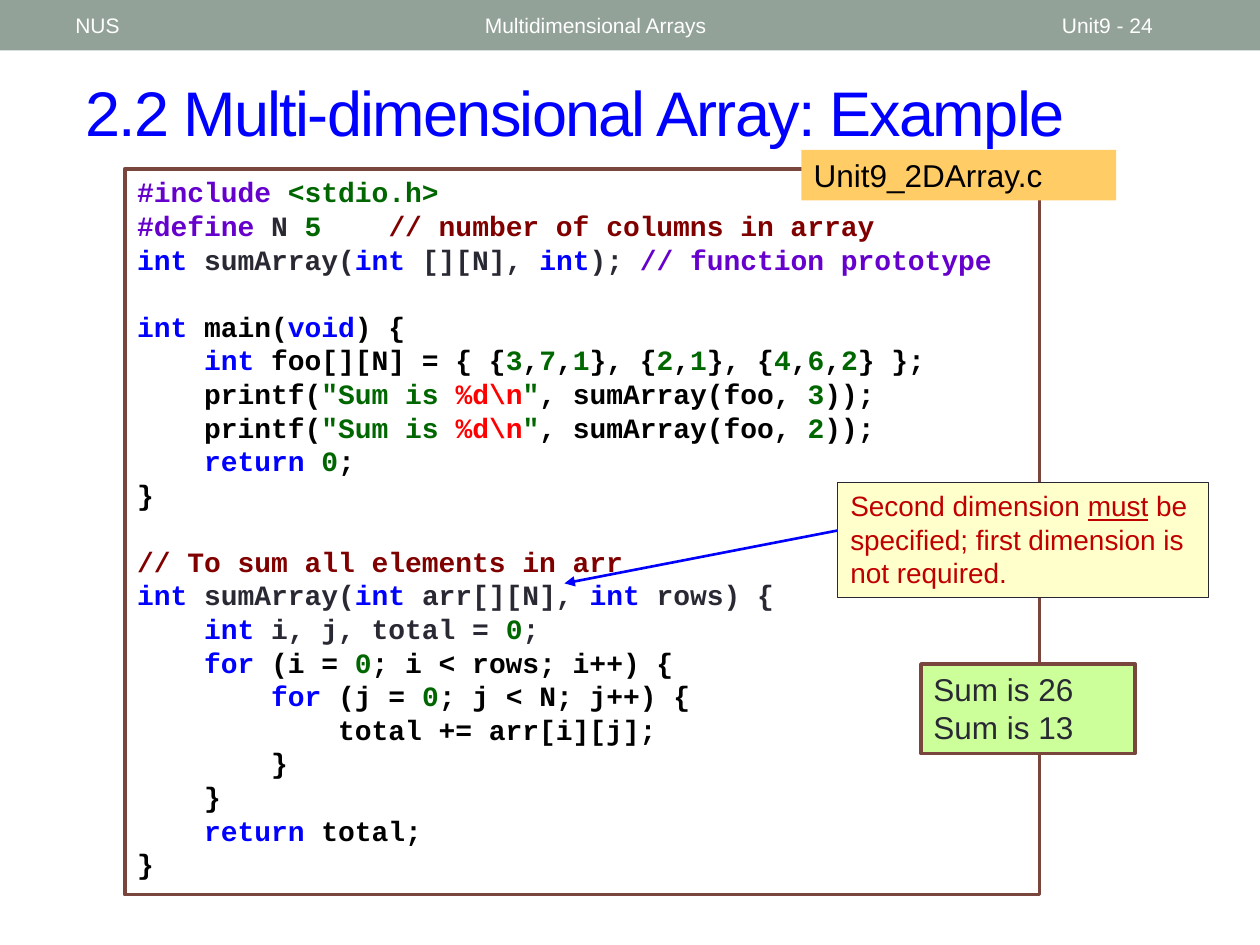
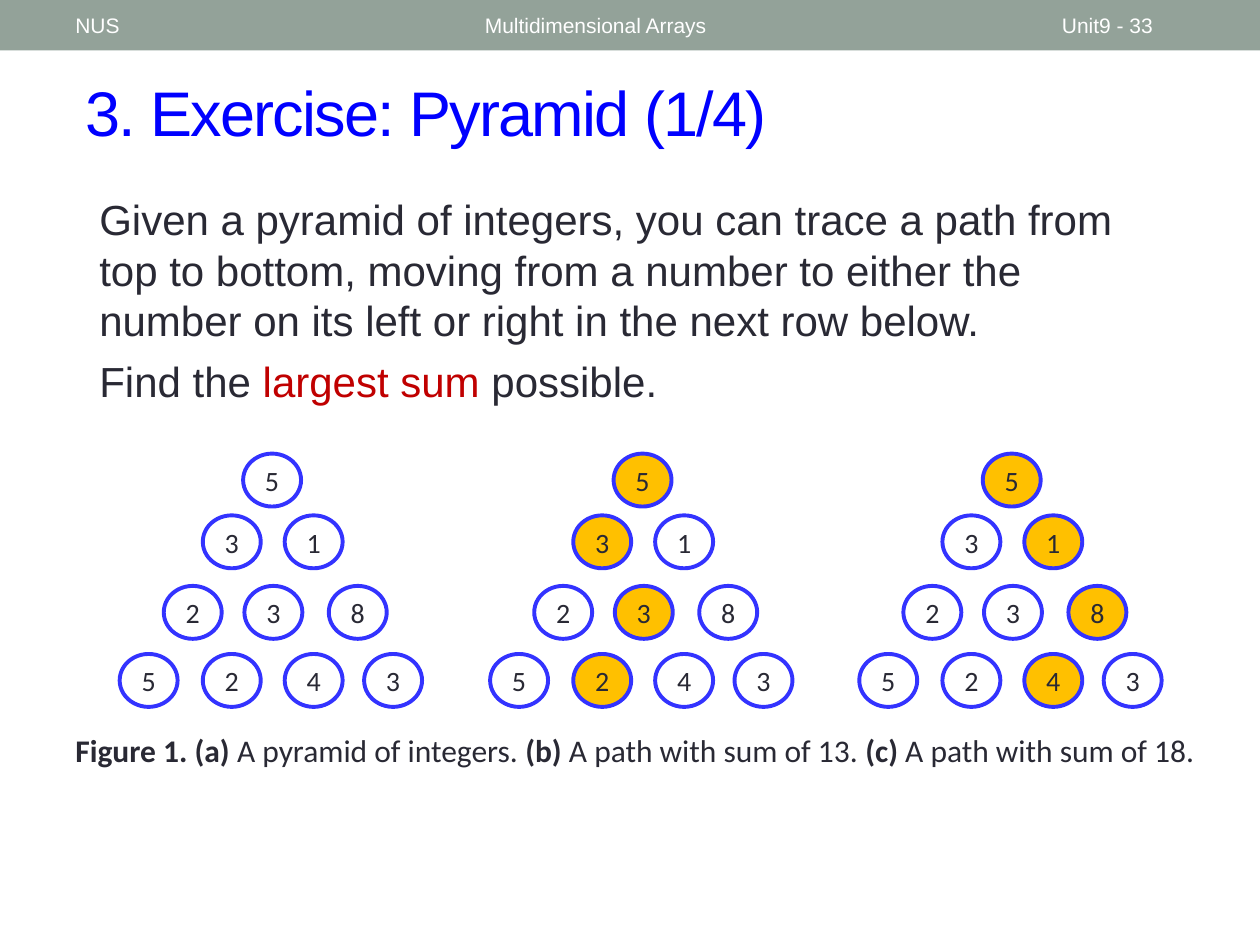
from dataclasses import dataclass
from typing import NamedTuple

from lxml import etree
from pptx import Presentation
from pptx.dml.color import RGBColor
from pptx.enum import shapes, text
from pptx.oxml.ns import qn
from pptx.util import Inches, Pt

# Colours
WHITE = RGBColor(0xFF, 0xFF, 0xFF)
BLACK = RGBColor(0x00, 0x00, 0x00)
INK = RGBColor(0x29, 0x29, 0x34)
BAND = RGBColor(0x93, 0xA2, 0x99)
BLUE = RGBColor(0x00, 0x00, 0xFF)
RING = RGBColor(0x33, 0x33, 0xFF)
PURPLE = RGBColor(0x66, 0x00, 0xCC)
GREEN = RGBColor(0x00, 0x66, 0x00)
MAROON = RGBColor(0x80, 0x00, 0x00)
RED = RGBColor(0xFF, 0x00, 0x00)
CRIMSON = RGBColor(0xC0, 0x00, 0x00)
BROWN = RGBColor(0x79, 0x46, 0x3D)
ORANGE = RGBColor(0xFF, 0xCC, 0x66)
CREAM = RGBColor(0xFF, 0xFF, 0xCC)
LIME = RGBColor(0xCC, 0xFF, 0x99)
GOLD = RGBColor(0xFF, 0xC0, 0x00)


class Run(NamedTuple):
    text: str
    color: RGBColor | None = None
    bold: bool | None = None
    underline: bool | None = None


class Box(NamedTuple):
    left: float
    top: float
    width: float
    height: float

    def emu(self) -> list:
        return [Inches(v) for v in self]


@dataclass
class Para:
    runs: list
    before: float = 0


@dataclass
class PyramidRow:
    top: float
    lefts: list
    values: list


@dataclass
class Pyramid:
    shift: float
    chosen: tuple  # column picked in each row; empty for no trail


# Code runs
def kw(s: str) -> Run:
    return Run(s, BLUE)


def lit(s: str) -> Run:
    return Run(s, GREEN)


def ink(s: str) -> Run:
    return Run(s, INK)


def print_sum(rows: str) -> Para:
    return Para([Run("    printf("), lit('"Sum is '), Run("%d\\n", RED), lit('"'),
                 Run(", sumArray(foo, "), lit(rows), Run("));")])


def foo_line() -> Para:
    runs = [Run("    "), kw("int"), Run(" foo[][N] = { {")]
    for i, row in enumerate(("371", "21", "462")):
        if i:
            runs.append(Run("}, {"))
        for j, digit in enumerate(row):
            runs += [Run(",")] * (j > 0) + [lit(digit)]
    return Para(runs + [Run("} };")])


CODE_GAP = 19.2  # one line of code
CODE = [
    Para([Run("#include ", PURPLE), lit("<stdio.h>")]),
    Para([Run("#define ", PURPLE), ink("N "), lit("5    "),
          Run("// number of columns in array", MAROON)]),
    Para([kw("int "), ink("sumArray("), kw("int "), ink("[][N], "), kw("int"), ink(");"),
          Run(" // function prototype", PURPLE)]),
    Para([kw("int"), Run(" main("), kw("void"), Run(") {")], CODE_GAP),
    foo_line(),
    print_sum("3"),
    print_sum("2"),
    Para([Run("    "), kw("return "), lit("0"), Run(";")]),
    Para([Run("}")]),
    Para([Run("// To sum all elements in arr", MAROON)], CODE_GAP),
    Para([kw("int "), ink("sumArray("), kw("int "), ink("arr[][N], "), kw("int"),
          ink(" rows) {")]),
    Para([Run("    "), kw("int "), ink("i, j, total = "), lit("0"), ink(";")]),
    Para([Run("    "), kw("for"), Run(" (i = "), lit("0"), Run("; i < rows; i++) {")]),
    Para([Run("        "), kw("for"), Run(" (j = "), lit("0"), Run("; j < N; j++) {")]),
    Para([Run("            total += arr[i][j];")]),
    Para([Run("        }")]),
    Para([Run("    }")]),
    Para([Run("    "), kw("return"), Run(" total;")]),
    Para([Run("}")]),
]

ROWS = [
    PyramidRow(3.6, [1.93], [5]),
    PyramidRow(4.09, [1.61, 2.26], [3, 1]),
    PyramidRow(4.65, [1.3, 1.94, 2.61], [2, 3, 8]),
    PyramidRow(5.19, [0.95, 1.61, 2.26, 2.89], [5, 2, 4, 3]),
]
PYRAMIDS = [Pyramid(0, ()), Pyramid(2.94, (0, 0, 1, 1)), Pyramid(5.87, (0, 1, 2, 2))]


# Drawing helpers
def write(tf, paras: list, *, size: float, color=INK, font="Arial", bold=False,
          align=text.PP_ALIGN.LEFT, anchor=text.MSO_ANCHOR.TOP, after=0, margin=None) -> None:
    tf.word_wrap = True
    tf.auto_size = text.MSO_AUTO_SIZE.NONE
    tf.vertical_anchor = anchor
    if margin is not None:
        tf.margin_left = tf.margin_right = tf.margin_top = tf.margin_bottom = Inches(margin)
    for i, para in enumerate(paras):
        p = tf.add_paragraph() if i else tf.paragraphs[0]
        p.alignment = align
        p.space_before, p.space_after = Pt(para.before), Pt(after)
        for run in para.runs:
            r = p.add_run()
            r.text = run.text
            r.font.name, r.font.size = font, Pt(size)
            r.font.bold = bold if run.bold is None else run.bold
            r.font.underline = run.underline
            r.font.color.rgb = run.color or color


def plain(*lines: str) -> list:
    return [Para([Run(line)]) for line in lines]


def add_box(s, box: Box, fill=None, line=None, width=0.75,
            kind=shapes.MSO_SHAPE.RECTANGLE):
    sp = s.shapes.add_shape(kind, *box.emu())
    sp.shadow.inherit = False
    if fill is None:
        sp.fill.background()
    else:
        sp.fill.solid()
        sp.fill.fore_color.rgb = fill
    if line is None:
        sp.line.fill.background()
    else:
        sp.line.color.rgb = line
        sp.line.width = Pt(width)
    return sp


def add_text(s, box: Box, paras: list, **fmt) -> None:
    write(s.shapes.add_textbox(*box.emu()).text_frame, paras, **fmt)


def add_arrow(s, start: tuple, end: tuple, color: RGBColor) -> None:
    cx = s.shapes.add_connector(shapes.MSO_CONNECTOR.STRAIGHT,
                                *[Inches(v) for v in start + end])
    cx.line.color.rgb = color
    cx.line.width = Pt(1.5)
    etree.SubElement(cx.line._get_or_add_ln(), qn("a:tailEnd"), type="triangle")
    etree.SubElement(cx._element.spPr, qn("a:effectLst"))


def add_slide(prs, title: str, number: int):
    s = prs.slides.add_slide(prs.slide_layouts[5])
    # Header band
    add_box(s, Box(0, 0, 10, 0.4), BAND)
    for left, width, label in ((3.75, 4.5, "Multidimensional Arrays"),
                               (8.33, 1.17, f"Unit9 - {number}"), (0.5, 3.17, "NUS")):
        add_text(s, Box(left, 0.02, width, 0.36), plain(label), size=12, color=WHITE,
                 anchor=text.MSO_ANCHOR.MIDDLE)
    # Title
    sp = s.shapes.title
    sp.left, sp.top, sp.width, sp.height = Box(0.58, 0.42, 9.17, 0.92).emu()
    write(sp.text_frame, plain(title), size=36, color=BLUE, anchor=text.MSO_ANCHOR.MIDDLE)
    for r in sp.text_frame.paragraphs[0].runs:
        r.font._element.set("spc", "-100")
    return s


def add_pyramid(s, pyramid: Pyramid) -> None:
    for i, row in enumerate(ROWS):
        for j, (left, value) in enumerate(zip(row.lefts, row.values)):
            on_trail = bool(pyramid.chosen) and pyramid.chosen[i] == j
            sp = add_box(s, Box(left + pyramid.shift, row.top, 0.46, 0.42),
                         GOLD if on_trail else None, RING, 2.25, shapes.MSO_SHAPE.OVAL)
            write(sp.text_frame, plain(str(value)), size=16, font="Calibri", margin=0,
                  align=text.PP_ALIGN.CENTER, anchor=text.MSO_ANCHOR.MIDDLE)


# Slides
def build_example(prs) -> None:
    s = add_slide(prs, "2.2 Multi-dimensional Array: Example", 24)
    # Program listing and its file name
    sp = add_box(s, Box(0.99, 1.34, 7.26, 5.76), WHITE, BROWN, 2.08)
    write(sp.text_frame, CODE, size=16, color=BLACK, font="Courier New", bold=True)
    sp = add_box(s, Box(6.36, 1.19, 2.5, 0.4), ORANGE)
    write(sp.text_frame, plain("Unit9_2DArray.c"), size=18, color=BLACK)
    # Remark on the parameter
    add_arrow(s, (6.65, 4.21), (4.48, 4.63), BLUE)
    sp = add_box(s, Box(6.65, 3.83, 2.94, 0.91), CREAM, INK)
    write(sp.text_frame, [Para([Run("Second dimension "), Run("must", underline=True),
                                Run(" be specified; first dimension is not required.")])],
          size=16, color=CRIMSON)
    # Program output
    sp = add_box(s, Box(7.31, 5.27, 1.7, 0.71), LIME, BROWN, 2.08)
    write(sp.text_frame, plain("Sum is 26", "Sum is 13"), size=18)


def build_pyramid(prs) -> None:
    s = add_slide(prs, "3. Exercise: Pyramid (1/4)", 33)
    for pyramid in PYRAMIDS:
        add_pyramid(s, pyramid)
    # Caption
    sp = add_box(s, Box(0.5, 5.75, 9.25, 0.68), WHITE)
    write(sp.text_frame, [Para([
        Run("Figure 1. (a)", bold=True), Run(" A pyramid of integers. "),
        Run("(b)", bold=True), Run(" A path with sum of 13. "),
        Run("(c)", bold=True), Run(" A path with sum of 18.")])],
        size=18, font="Calibri", after=10)
    # Task
    add_text(s, Box(0.69, 1.49, 8.56, 1.8), [
        *plain("Given a pyramid of integers, you can trace a path from top to bottom, moving "
               "from a number to either the number on its left or right in the next row below."),
        Para([Run("Find the "), Run("largest sum ", CRIMSON), Run("possible.")])],
        size=24, after=6)


def main() -> None:
    prs = Presentation()
    prs.slide_width, prs.slide_height = Inches(10), Inches(7.5)
    build_example(prs)
    build_pyramid(prs)
    prs.save("out.pptx")


if __name__ == "__main__":
    main()
